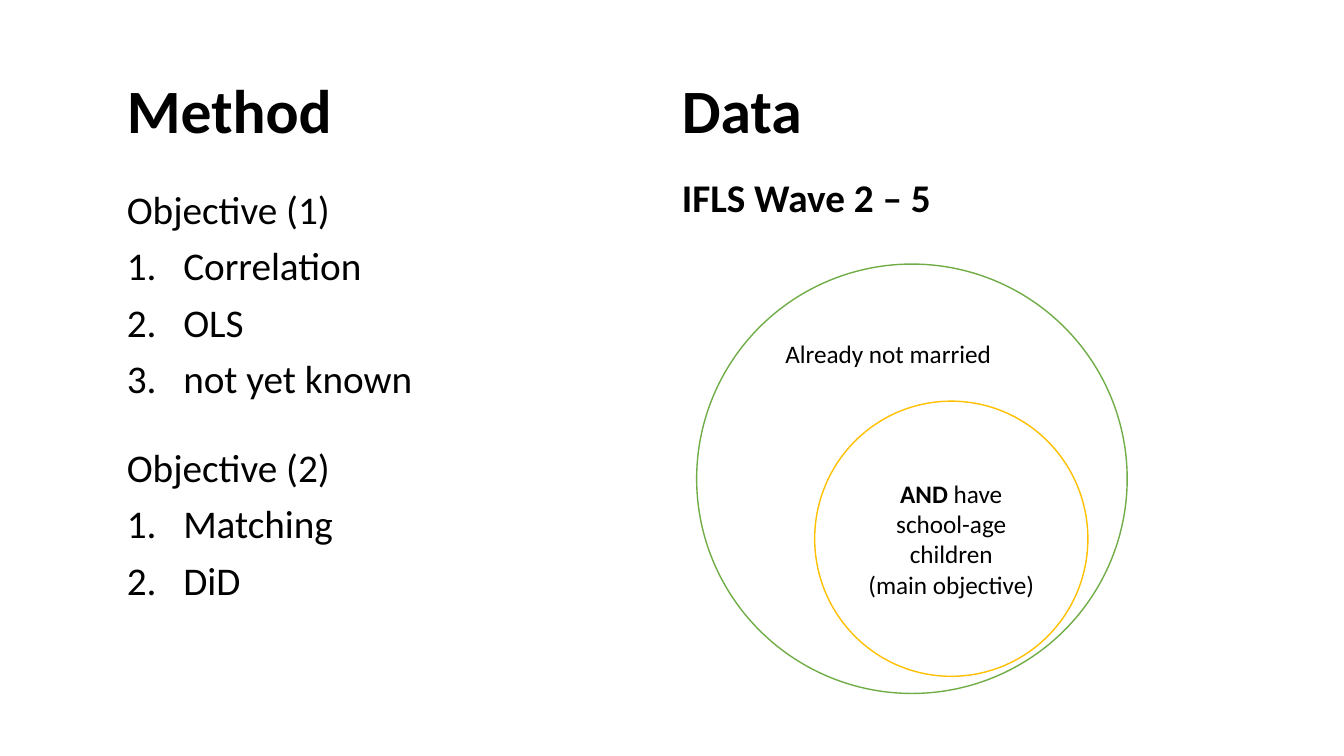
from dataclasses import dataclass

from lxml.etree import SubElement
from pptx import Presentation
from pptx.dml.color import RGBColor
from pptx.enum.shapes import MSO_SHAPE
from pptx.enum.text import MSO_ANCHOR, PP_ALIGN
from pptx.oxml.ns import qn
from pptx.util import Inches, Pt

# Content
METHOD_TITLE = "Method"
DATA_TITLE = "Data"
OBJECTIVES = [
    ("Objective (1)", ["Correlation", "OLS", "not yet known"]),
    ("Objective (2)", ["Matching", "DiD"]),
]
DATA_SOURCE = "IFLS Wave 2 – 5"
OUTER_GROUP = "Already not married"
# Each line is a list of (text, bold) runs
INNER_GROUP = [
    [("AND", True), (" have school-age children", False)],
    [("(main objective)", False)],
]


@dataclass(frozen=True)
class Theme:
    font: str = "Calibri"
    text: RGBColor = RGBColor(0x00, 0x00, 0x00)
    paper: RGBColor = RGBColor(0xFF, 0xFF, 0xFF)
    outer: RGBColor = RGBColor(0x70, 0xAD, 0x47)
    inner: RGBColor = RGBColor(0xFF, 0xC0, 0x00)
    title_size: int = 44
    body_size: int = 28
    label_size: int = 18
    line_width: int = 1


THEME = Theme()

# Layout in inches: two columns, a title row and the rows below it
SLIDE_WIDTH, SLIDE_HEIGHT = 13.33, 7.5
METHOD_LEFT, METHOD_WIDTH = 1.16, 11.5
DATA_LEFT = SLIDE_WIDTH / 2
TITLE_TOP, TITLE_HEIGHT = 0.4, 1.45
LIST_TOP, LIST_HEIGHT, LIST_STEP = 1.84, 2.31, 2.56
NUMBER_INDENT = 0.56

presentation = Presentation()
presentation.slide_width = Inches(SLIDE_WIDTH)
presentation.slide_height = Inches(SLIDE_HEIGHT)
slide = presentation.slides.add_slide(presentation.slide_layouts[6])


def style(paragraph, size, bold=None):
    paragraph.font.name = THEME.font
    paragraph.font.size = Pt(size)
    paragraph.font.color.rgb = THEME.text
    paragraph.font.bold = bold


def number(paragraph):
    properties = paragraph._p.get_or_add_pPr()
    properties.set("marL", str(Inches(NUMBER_INDENT)))
    properties.set("indent", str(-Inches(NUMBER_INDENT)))
    SubElement(properties, qn("a:buFont"), typeface="+mj-lt")
    SubElement(properties, qn("a:buAutoNum"), type="arabicPeriod")


def add_text(box, lines, size, bold=False, anchor=MSO_ANCHOR.TOP,
             spacing=0.9, before=0):
    """Add a text box; lines after the first are numbered."""
    frame = slide.shapes.add_textbox(*map(Inches, box)).text_frame
    frame.word_wrap = True
    frame.vertical_anchor = anchor
    for index, line in enumerate(lines):
        paragraph = frame.add_paragraph() if index else frame.paragraphs[0]
        paragraph.text = line
        paragraph.line_spacing = spacing
        paragraph.space_before = Pt(before)
        if index:
            number(paragraph)
        style(paragraph, size, bold)


def add_circle(box, color):
    circle = slide.shapes.add_shape(MSO_SHAPE.OVAL, *map(Inches, box))
    circle.shadow.inherit = False
    circle.fill.solid()
    circle.fill.fore_color.rgb = THEME.paper
    circle.line.color.rgb = color
    circle.line.width = Pt(THEME.line_width)
    return circle


# Column titles
for title, left, width in [(METHOD_TITLE, METHOD_LEFT, METHOD_WIDTH),
                           (DATA_TITLE, DATA_LEFT, 4.76)]:
    add_text((left, TITLE_TOP, width, TITLE_HEIGHT), [title],
             THEME.title_size, bold=True, anchor=MSO_ANCHOR.MIDDLE)

# Objectives with numbered methods
for row, (objective, methods) in enumerate(OBJECTIVES):
    top = LIST_TOP + row * LIST_STEP
    add_text((METHOD_LEFT, top, METHOD_WIDTH, LIST_HEIGHT),
             [objective, *methods], THEME.body_size, before=10)

# Data source
add_text((DATA_LEFT, 1.72, 5.75, 5.03), [DATA_SOURCE], THEME.body_size,
         bold=True, before=10)

# Nested sample groups
add_circle((6.91, 2.62, 4.27, 4.26), THEME.outer)
add_text((7.69, 3.31, 2.71, 0.71), [OUTER_GROUP], THEME.label_size, spacing=1)

inner_frame = add_circle((8.08, 3.98, 2.71, 2.73), THEME.inner).text_frame
inner_frame.word_wrap = True
inner_frame.vertical_anchor = MSO_ANCHOR.MIDDLE
for index, runs in enumerate(INNER_GROUP):
    paragraph = (inner_frame.add_paragraph() if index
                 else inner_frame.paragraphs[0])
    paragraph.alignment = PP_ALIGN.CENTER
    style(paragraph, THEME.label_size)
    for text, bold in runs:
        run = paragraph.add_run()
        run.text = text
        run.font.bold = bold

presentation.save("out.pptx")
